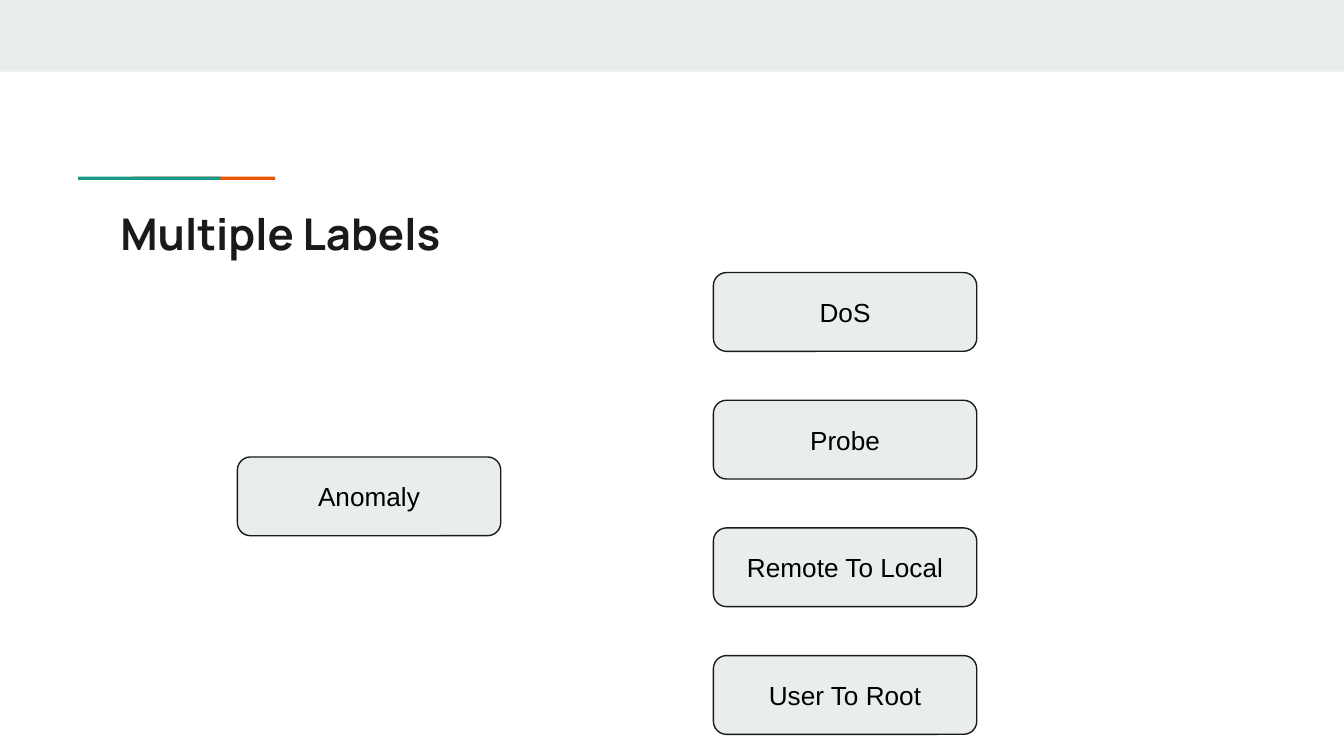
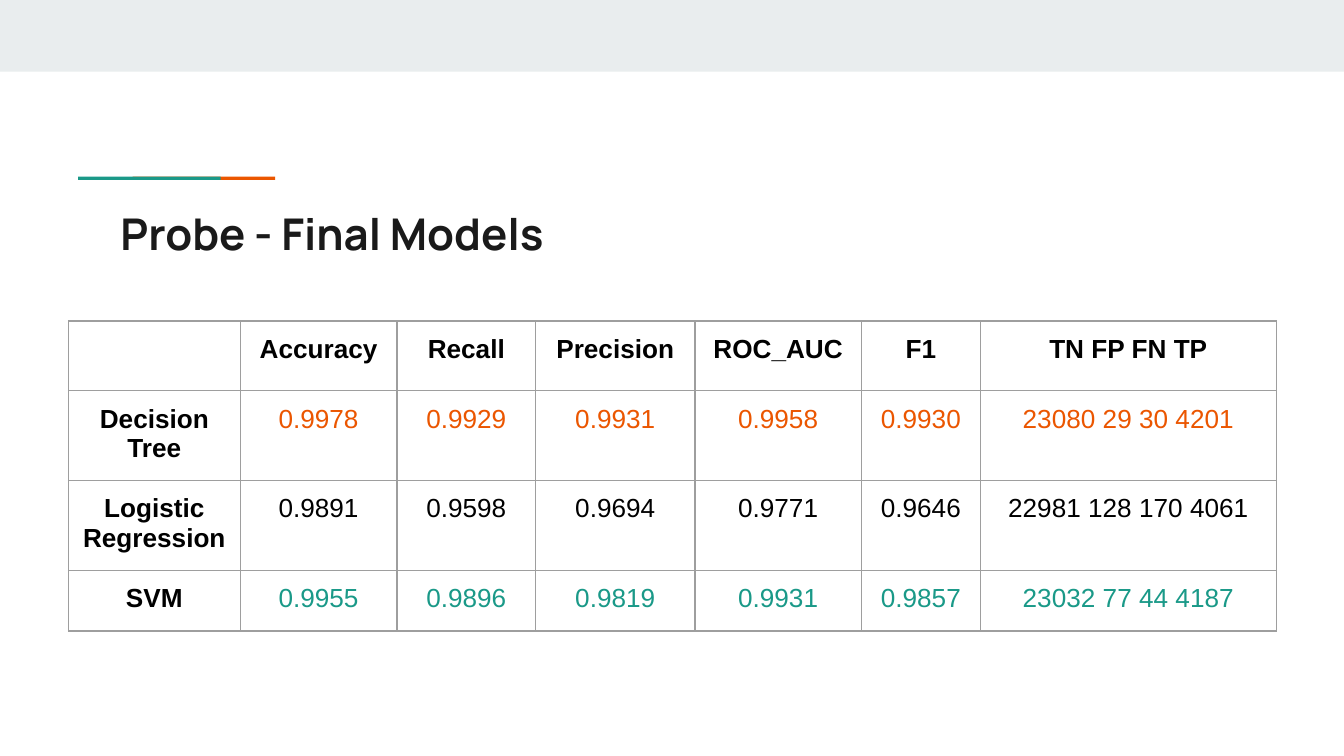
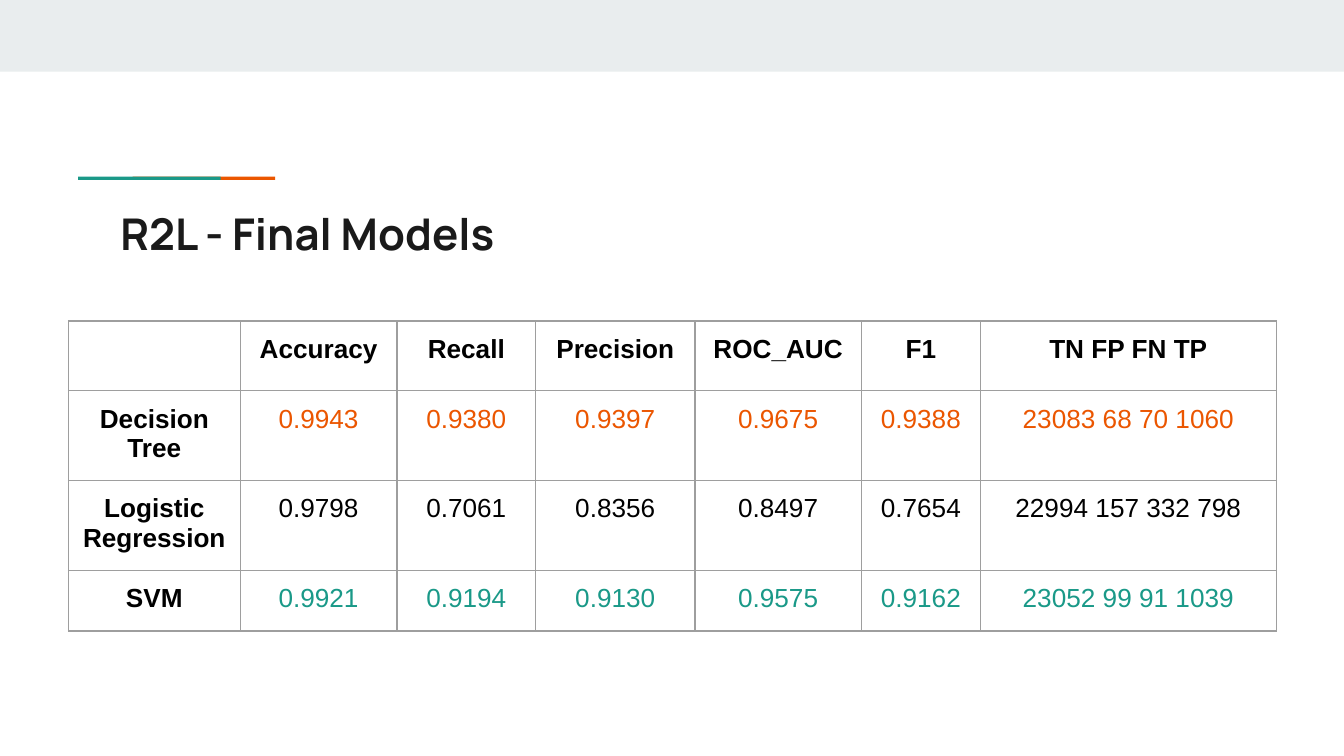
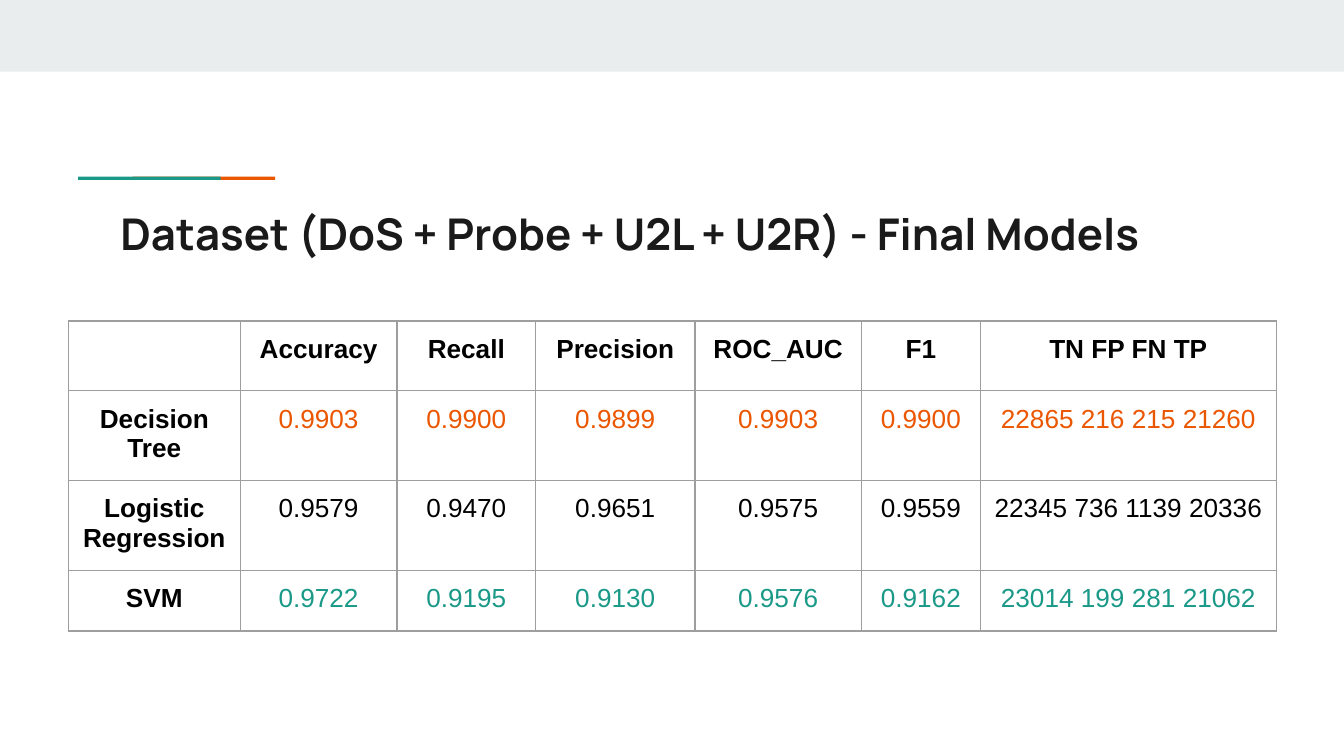
from dataclasses import dataclass

from lxml import etree
from pptx import Presentation
from pptx.dml.color import RGBColor
from pptx.enum.shapes import MSO_SHAPE
from pptx.enum.text import MSO_ANCHOR, PP_ALIGN
from pptx.oxml.ns import qn
from pptx.util import Pt

RECTANGLE = MSO_SHAPE.RECTANGLE
ROUNDED = MSO_SHAPE.ROUNDED_RECTANGLE
MIDDLE = MSO_ANCHOR.MIDDLE
TOP = MSO_ANCHOR.TOP
LEFT = PP_ALIGN.LEFT
CENTER = PP_ALIGN.CENTER


@dataclass(frozen=True)
class Theme:
    paper: str = "FFFFFF"
    band: str = "E9EDEE"
    ink: str = "1A1A1A"
    text: str = "000000"
    orange: str = "EB5600"
    teal: str = "1A9988"
    grid: str = "9E9E9E"
    title_font: str = "Manrope"
    body_font: str = "Arial"
    title_size: float = 23.4
    body_size: float = 14
    line_width: float = 0.75
    inset: float = 7.2


THEME = Theme()

LABEL_WIDTH, LABEL_HEIGHT = 141.1, 42.2
ATTACKS = ["DoS", "Probe", "Remote To Local", "User To Root"]
ATTACK_LEFT, ATTACK_TOP, ATTACK_STEP = 382.2, 146, 68.4

METRICS = ["", "Accuracy", "Recall", "Precision", "ROC_AUC", "F1", "TN FP FN TP"]
MODELS = ["Decision Tree", "Logistic Regression", "SVM"]
MODEL_COLORS = [THEME.orange, THEME.text, THEME.teal]
COLUMN_WIDTHS = [92, 84, 74.3, 85.3, 89.2, 63.8, 158.5]
ROW_HEIGHTS = [37.4, 46, 47.7, 32.6]
RESULTS = {
    "Probe - Final Models": [
        ["0.9978", "0.9929", "0.9931", "0.9958", "0.9930", "23080 29 30 4201"],
        ["0.9891", "0.9598", "0.9694", "0.9771", "0.9646", "22981 128 170 4061"],
        ["0.9955", "0.9896", "0.9819", "0.9931", "0.9857", "23032 77 44 4187"],
    ],
    "R2L - Final Models": [
        ["0.9943", "0.9380", "0.9397", "0.9675", "0.9388", "23083 68 70 1060"],
        ["0.9798", "0.7061", "0.8356", "0.8497", "0.7654", "22994 157 332 798"],
        ["0.9921", "0.9194", "0.9130", "0.9575", "0.9162", "23052 99 91 1039"],
    ],
    "Dataset (DoS + Probe + U2L + U2R) - Final Models": [
        ["0.9903", "0.9900", "0.9899", "0.9903", "0.9900", "22865 216 215 21260"],
        ["0.9579", "0.9470", "0.9651", "0.9575", "0.9559", "22345 736 1139 20336"],
        ["0.9722", "0.9195", "0.9130", "0.9576", "0.9162", "23014 199 281 21062"],
    ],
}


def rgb(color):
    return RGBColor.from_string(color)


class Deck:
    def __init__(self, theme):
        self.theme = theme
        self.presentation = Presentation()
        self.presentation.slide_width = Pt(720)
        self.presentation.slide_height = Pt(405)
        self.slide = None

    def add_slide(self, title):
        theme = self.theme
        self.slide = self.presentation.slides.add_slide(self.presentation.slide_layouts[6])
        background = self.slide.background.fill
        background.solid()
        background.fore_color.rgb = rgb(theme.paper)
        self.shape(RECTANGLE, 0, 0, 720, 38.4, theme.band)
        self.shape(RECTANGLE, 71, 94.7, 76.4, 1.7, theme.orange)
        self.shape(RECTANGLE, 41.8, 94.7, 76.4, 1.7, theme.teal)
        self.title(title)

    def shape(self, kind, left, top, width, height, fill):
        shape = self.slide.shapes.add_shape(kind, Pt(left), Pt(top), Pt(width), Pt(height))
        shape.shadow.inherit = False
        shape.fill.solid()
        shape.fill.fore_color.rgb = rgb(fill)
        shape.line.fill.background()
        return shape

    def set_text(self, frame, text, font, size, color, bold=False, align=CENTER):
        frame.word_wrap = True
        paragraph = frame.paragraphs[0]
        paragraph.text = text
        paragraph.alignment = align
        paragraph.font.name = font
        paragraph.font.size = Pt(size)
        paragraph.font.bold = bold
        paragraph.font.color.rgb = rgb(color)

    def set_body(self, frame, text, color, bold=False):
        self.set_text(frame, text, self.theme.body_font, self.theme.body_size, color, bold)

    def set_margins(self, holder, anchor):
        inset = Pt(self.theme.inset)
        holder.margin_left = holder.margin_right = inset
        holder.margin_top = holder.margin_bottom = inset
        holder.vertical_anchor = anchor

    def title(self, text):
        theme = self.theme
        box = self.slide.shapes.add_textbox(Pt(57.4), Pt(103.7), Pt(605.5), Pt(42.5))
        frame = box.text_frame
        self.set_margins(frame, TOP)
        self.set_text(frame, text, theme.title_font, theme.title_size, theme.ink, True, LEFT)

    def label(self, text, left, top):
        theme = self.theme
        label = self.shape(ROUNDED, left, top, LABEL_WIDTH, LABEL_HEIGHT, theme.band)
        label.line.color.rgb = rgb(theme.ink)
        label.line.width = Pt(theme.line_width)
        self.set_margins(label.text_frame, MIDDLE)
        self.set_body(label.text_frame, text, theme.text)

    def border(self, cell):
        properties = cell._tc.get_or_add_tcPr()
        for side in ("lnL", "lnR", "lnT", "lnB"):
            line = etree.SubElement(properties, qn(f"a:{side}"), w=str(Pt(self.theme.line_width)))
            fill = etree.SubElement(line, qn("a:solidFill"))
            etree.SubElement(fill, qn("a:srgbClr"), val=self.theme.grid)

    def results_table(self, results):
        table = self.slide.shapes.add_table(
            len(ROW_HEIGHTS), len(COLUMN_WIDTHS), Pt(36.7), Pt(172),
            Pt(sum(COLUMN_WIDTHS)), Pt(sum(ROW_HEIGHTS)),
        ).table
        table.first_row = table.horz_banding = False
        for column, width in zip(table.columns, COLUMN_WIDTHS):
            column.width = Pt(width)
        rows = [METRICS] + [[model, *scores] for model, scores in zip(MODELS, results)]
        score_colors = [self.theme.text] + MODEL_COLORS
        for row_index, (values, height) in enumerate(zip(rows, ROW_HEIGHTS)):
            table.rows[row_index].height = Pt(height)
            for column_index, value in enumerate(values):
                heading = row_index == 0 or column_index == 0
                color = self.theme.text if heading else score_colors[row_index]
                cell = table.cell(row_index, column_index)
                self.border(cell)
                cell.fill.background()
                self.set_margins(cell, TOP)
                self.set_body(cell.text_frame, value, color, heading)


def main():
    deck = Deck(THEME)
    deck.add_slide("Multiple Labels")
    for index, attack in enumerate(ATTACKS):
        deck.label(attack, ATTACK_LEFT, ATTACK_TOP + index * ATTACK_STEP)
    deck.label("Anomaly", 127.2, 244.8)

    for title, results in RESULTS.items():
        deck.add_slide(title)
        deck.results_table(results)

    deck.presentation.save("out.pptx")


if __name__ == "__main__":
    main()
